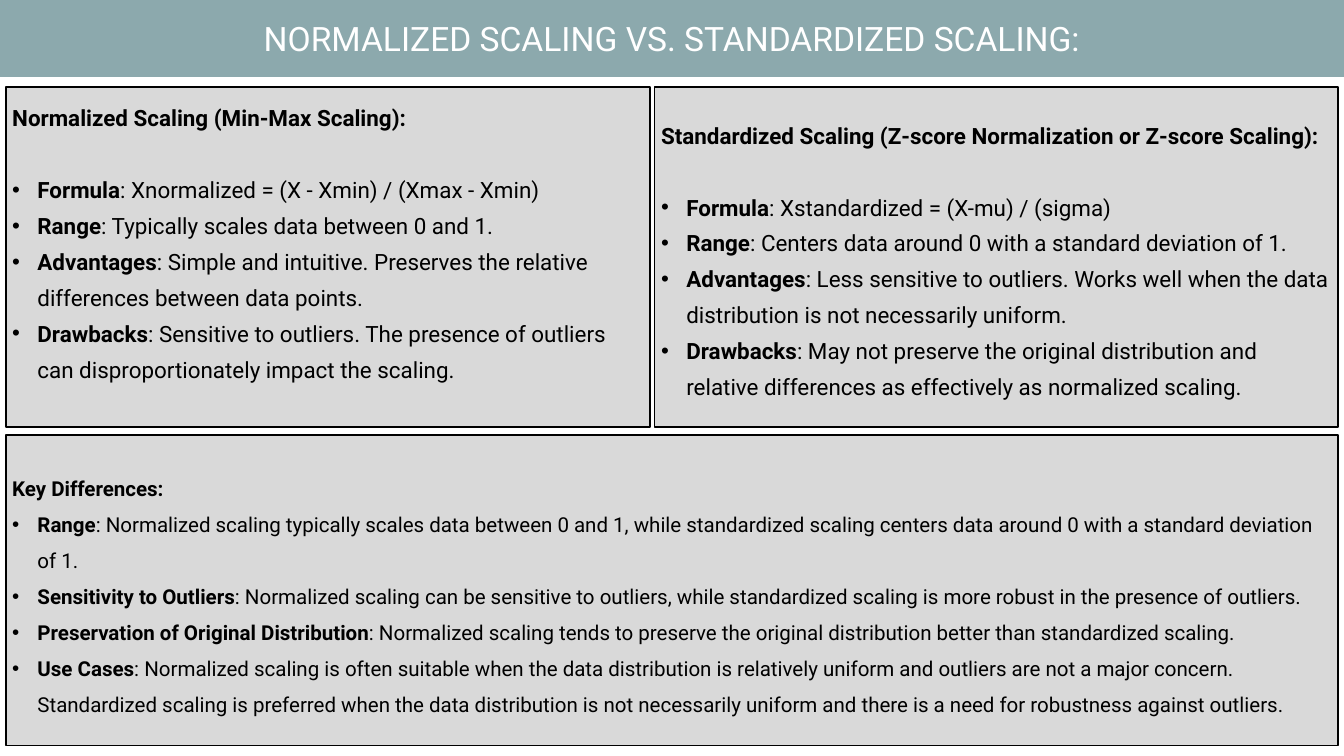
import pptx
import pptx.util
from lxml import etree
from pptx.dml.color import RGBColor
from pptx.enum.shapes import MSO_SHAPE
from pptx.enum.text import MSO_ANCHOR, MSO_AUTO_SIZE, PP_ALIGN
from pptx.oxml.ns import qn

PX = 9525  # EMU per px, 96 px to the inch
WIDTH, HEIGHT = 1920, 1080
TITLE_HEIGHT = 109
MARGIN, GAP = 8, 7
TOP_ROW, TOP_HEIGHT = 124, 486
BOTTOM_ROW, BOTTOM_HEIGHT = 621, 444
LEFT_WIDTH = 920
INDENT = 36
LINE_SPACING = 38.5
FONT = "Roboto"
COLORS = {"banner": "8CA9AD", "panel": "D9D9D9", "text": "000000", "title": "FFFFFF"}

TITLE = "NORMALIZED SCALING VS. STANDARDIZED SCALING:"
NORMALIZED = ("Normalized Scaling (Min-Max Scaling):", [
    ("Formula", "Xnormalized = (X - Xmin) / (Xmax - Xmin)"),
    ("Range", "Typically scales data between 0 and 1."),
    ("Advantages", "Simple and intuitive. Preserves the relative differences between data points."),
    ("Drawbacks", "Sensitive to outliers. The presence of outliers can disproportionately "
                  "impact the scaling."),
])
STANDARDIZED = ("Standardized Scaling (Z-score Normalization or Z-score Scaling):", [
    ("Formula", "Xstandardized = (X-mu) / (sigma)"),
    ("Range", "Centers data around 0 with a standard deviation of 1."),
    ("Advantages", "Less sensitive to outliers. Works well when the data distribution is not "
                   "necessarily uniform."),
    ("Drawbacks", "May not preserve the original distribution and relative differences as "
                  "effectively as normalized scaling."),
])
DIFFERENCES = ("Key Differences:", [
    ("Range", "Normalized scaling typically scales data between 0 and 1, while standardized "
              "scaling centers data around 0 with a standard deviation of 1."),
    ("Sensitivity to Outliers", "Normalized scaling can be sensitive to outliers, while "
                                "standardized scaling is more robust in the presence of outliers."),
    ("Preservation of Original Distribution", "Normalized scaling tends to preserve the original "
                                              "distribution better than standardized scaling."),
    ("Use Cases", "Normalized scaling is often suitable when the data distribution is relatively "
                  "uniform and outliers are not a major concern. Standardized scaling is preferred "
                  "when the data distribution is not necessarily uniform and there is a need for "
                  "robustness against outliers."),
])

right_left = MARGIN + LEFT_WIDTH + GAP
# content, (left, top, width, height), text size, space above text, space under heading in points
PANELS = [
    (NORMALIZED, (MARGIN, TOP_ROW, LEFT_WIDTH, TOP_HEIGHT), 24, 12, LINE_SPACING),
    (STANDARDIZED, (right_left, TOP_ROW, WIDTH - MARGIN - right_left, TOP_HEIGHT),
     24, 37, LINE_SPACING),
    (DIFFERENCES, (MARGIN, BOTTOM_ROW, WIDTH - 2 * MARGIN, BOTTOM_HEIGHT), 22, 43, 0),
]


def color(name):
    return RGBColor.from_string(COLORS[name])


def paint(shape, fill, line):
    shape.fill.solid()
    shape.fill.fore_color.rgb = color(fill)
    shape.line.color.rgb = color(line)
    shape.line.width = pptx.util.Pt(2)


def set_font(paragraph, size, name):
    paragraph.font.name = FONT
    paragraph.font.size = pptx.util.Pt(size)
    paragraph.font.color.rgb = color(name)


def add_bullet(paragraph):
    """Give the paragraph a hanging indent and a round bullet."""
    properties = paragraph._p.get_or_add_pPr()
    properties.set("marL", str(INDENT * PX))
    properties.set("indent", str(-INDENT * PX))
    font = etree.Element(qn("a:buFont"), typeface="Arial")
    bullet = etree.Element(qn("a:buChar"), char="•")
    spacing = properties.find(qn("a:spcAft"))
    spacing.addnext(font)
    font.addnext(bullet)


def add_title(slide):
    title = slide.shapes.title
    title.left, title.top = 0, 0
    title.width, title.height = WIDTH * PX, TITLE_HEIGHT * PX
    paint(title, "banner", "banner")
    frame = title.text_frame
    frame.text = TITLE
    frame.auto_size = MSO_AUTO_SIZE.NONE
    frame.vertical_anchor = MSO_ANCHOR.MIDDLE
    frame.paragraphs[0].alignment = PP_ALIGN.CENTER
    set_font(frame.paragraphs[0], 36, "title")


def add_panel(slide, content, box, size, inset, heading_space):
    heading, points = content
    panel = slide.shapes.add_shape(MSO_SHAPE.RECTANGLE, *(length * PX for length in box))
    panel.shadow.inherit = False
    paint(panel, "panel", "text")
    frame = panel.text_frame
    frame.word_wrap = True
    frame.vertical_anchor = MSO_ANCHOR.TOP
    frame.margin_top = inset * PX
    for index, (label, text) in enumerate([(heading, ""), *points]):
        paragraph = frame.add_paragraph() if index else frame.paragraphs[0]
        paragraph.alignment = PP_ALIGN.LEFT
        paragraph.line_spacing = pptx.util.Pt(LINE_SPACING)
        paragraph.space_after = pptx.util.Pt(0 if index else heading_space)
        set_font(paragraph, size, "text")
        run = paragraph.add_run()
        run.text = label
        run.font.bold = True
        if text:
            add_bullet(paragraph)
            paragraph.add_run().text = f": {text}"


def main():
    presentation = pptx.Presentation()
    presentation.slide_width = WIDTH * PX
    presentation.slide_height = HEIGHT * PX
    slide = presentation.slides.add_slide(presentation.slide_layouts.get_by_name("Title Only"))
    add_title(slide)
    for panel in PANELS:
        add_panel(slide, *panel)
    presentation.save("out.pptx")


if __name__ == "__main__":
    main()
